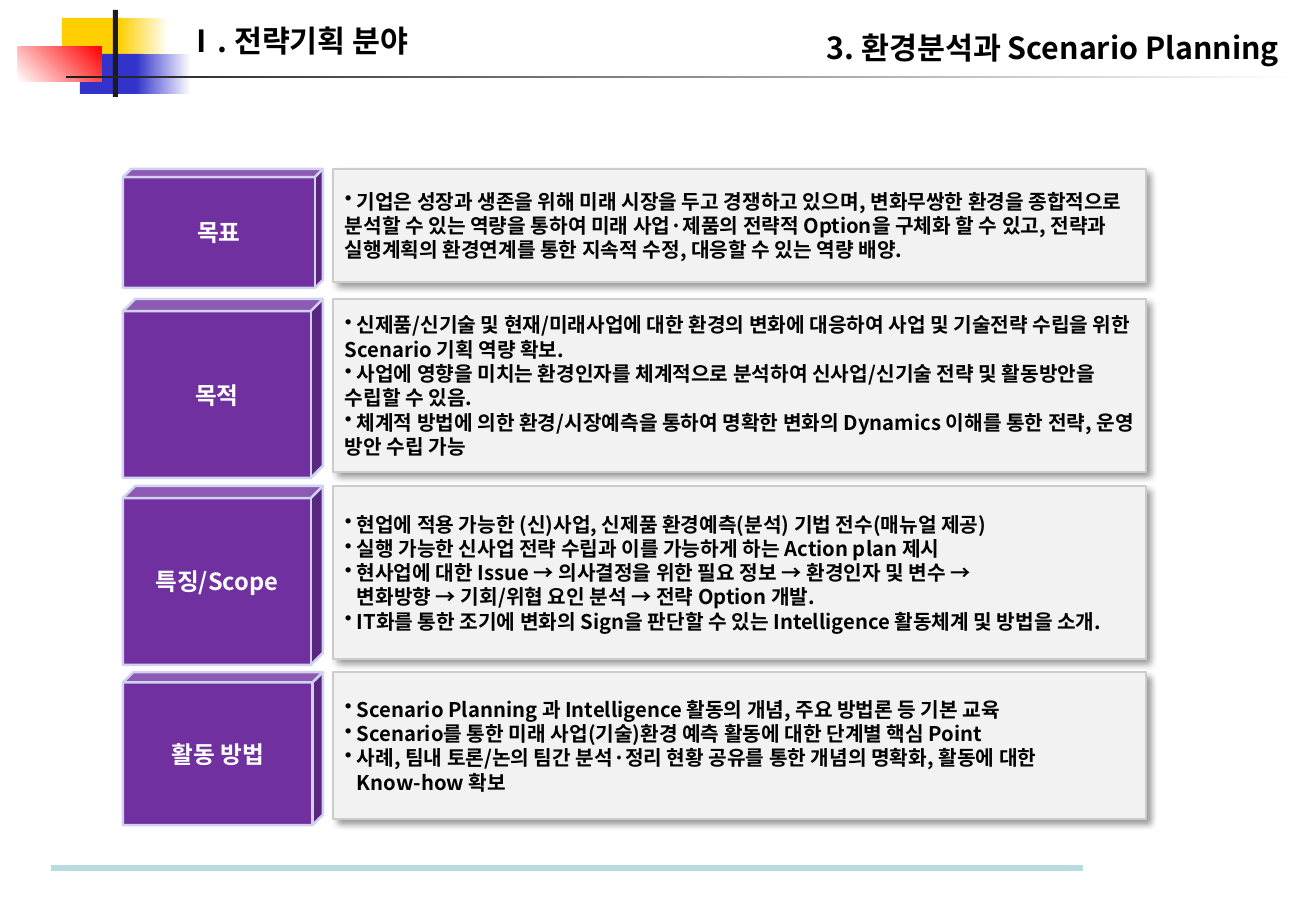
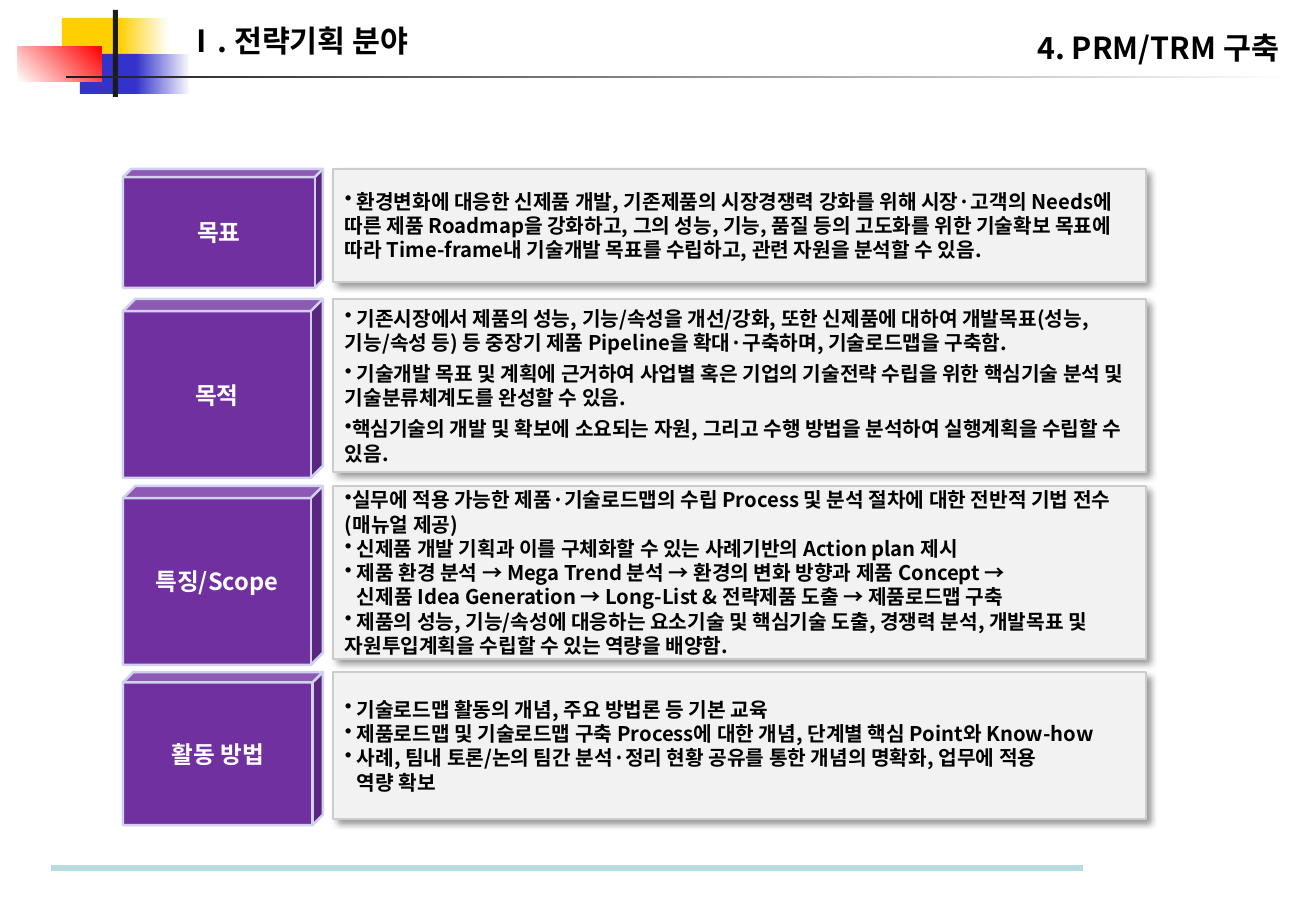
from lxml import etree
from pptx import Presentation
from pptx import util as u
from pptx.dml.color import RGBColor
from pptx.enum import shapes, text
from pptx.oxml import ns

PX = 7526  # EMU per px
FONT = "Noto Sans CJK KR"
INK, WHITE, DARK = "000000", "FFFFFF", "1C1C1C"
YELLOW, BLUE, RED, TEAL = "FFCF01", "3333CC", "FF0000", "B6DCDF"
PURPLE, LILAC, PANEL, EDGE = "7030A0", "D1D1F0", "F2F2F2", "CCCCCC"
LEFT, RIGHT, CENTER = text.PP_ALIGN.LEFT, text.PP_ALIGN.RIGHT, text.PP_ALIGN.CENTER

SECTION = "Ⅰ. 전략기획 분야"
# label, top, height
ROWS = [("목표", 169, 119), ("목적", 299, 179),
        ("특징/Scope", 486, 179), ("활동 방법", 672, 153)]
CUBE_LEFT, CUBE_W, PANEL_LEFT, PANEL_W = 123, 200, 333, 813
TITLE_RIGHT, CONTINUED = 1291, 12

# Each slide: title, title width, spacing before per row, paragraphs per row.
# A line break inside an item starts an indented line without a bullet.
SLIDES = [
    ("3. 환경분석과 Scenario Planning", 480, (0, 0, 0, 0), [
        [" 기업은 성장과 생존을 위해 미래 시장을 두고 경쟁하고 있으며, 변화무쌍한 환경을 종합적으로 "
         "분석할 수 있는 역량을 통하여 미래 사업·제품의 전략적 Option을 구체화 할 수 있고, 전략과 "
         "실행계획의 환경연계를 통한 지속적 수정, 대응할 수 있는 역량 배양."],
        [" 신제품/신기술 및 현재/미래사업에 대한 환경의 변화에 대응하여 사업 및 기술전략 수립을 위한 "
         "Scenario 기획 역량 확보.",
         " 사업에 영향을 미치는 환경인자를 체계적으로 분석하여 신사업/신기술 전략 및 활동방안을 "
         "수립할 수 있음.",
         " 체계적 방법에 의한 환경/시장예측을 통하여 명확한 변화의 Dynamics 이해를 통한 전략, "
         "운영 방안 수립 가능"],
        [" 현업에 적용 가능한 (신)사업, 신제품 환경예측(분석) 기법 전수(매뉴얼 제공)",
         " 실행 가능한 신사업 전략 수립과 이를 가능하게 하는 Action plan 제시",
         " 현사업에 대한 Issue → 의사결정을 위한 필요 정보 → 환경인자 및 변수 →\n"
         "변화방향 → 기회/위협 요인 분석 → 전략 Option 개발.",
         " IT화를 통한 조기에 변화의 Sign을 판단할 수 있는 Intelligence 활동체계 및 방법을 소개."],
        [" Scenario Planning 과 Intelligence 활동의 개념, 주요 방법론 등 기본 교육",
         " Scenario를 통한 미래 사업(기술)환경 예측 활동에 대한 단계별 핵심 Point",
         " 사례, 팀내 토론/논의 팀간 분석·정리 현황 공유를 통한 개념의 명확화, 활동에 대한\n"
         "Know-how 확보"],
    ]),
    ("4. PRM/TRM 구축", 283, (0, 4, 0, 0), [
        [" 환경변화에 대응한 신제품 개발, 기존제품의 시장경쟁력 강화를 위해 시장·고객의 Needs에 따른 "
         "제품 Roadmap을 강화하고, 그의 성능, 기능, 품질 등의 고도화를 위한 기술확보 목표에 따라 "
         "Time-frame내 기술개발 목표를 수립하고, 관련 자원을 분석할 수 있음."],
        [" 기존시장에서 제품의 성능, 기능/속성을 개선/강화, 또한 신제품에 대하여 개발목표(성능, "
         "기능/속성 등) 등 중장기 제품 Pipeline을 확대·구축하며, 기술로드맵을 구축함.",
         " 기술개발 목표 및 계획에 근거하여 사업별 혹은 기업의 기술전략 수립을 위한 핵심기술 분석 및 "
         "기술분류체계도를 완성할 수 있음.",
         "핵심기술의 개발 및 확보에 소요되는 자원, 그리고 수행 방법을 분석하여 실행계획을 수립할 수 있음."],
        ["실무에 적용 가능한 제품·기술로드맵의 수립 Process 및 분석 절차에 대한 전반적 기법 "
         "전수(매뉴얼 제공)",
         " 신제품 개발 기획과 이를 구체화할 수 있는 사례기반의 Action plan 제시",
         " 제품 환경 분석 → Mega Trend 분석 → 환경의 변화 방향과 제품 Concept →\n"
         "신제품 Idea Generation → Long-List & 전략제품 도출 → 제품로드맵 구축",
         " 제품의 성능, 기능/속성에 대응하는 요소기술 및 핵심기술 도출, 경쟁력 분석, 개발목표 및 "
         "자원투입계획을 수립할 수 있는 역량을 배양함."],
        [" 기술로드맵 활동의 개념, 주요 방법론 등 기본 교육",
         " 제품로드맵 및 기술로드맵 구축 Process에 대한 개념, 단계별 핵심 Point와 Know-how",
         " 사례, 팀내 토론/논의 팀간 분석·정리 현황 공유를 통한 개념의 명확화, 업무에 적용\n"
         "역량 확보"],
    ]),
]


def color(value):
    return RGBColor.from_string(value)


def px(*values):
    return [v * PX for v in values]


def sub(parent, tag, **attrs):
    return etree.SubElement(parent, ns.qn(tag), attrs)


class Deck:
    def __init__(self):
        self.prs = Presentation()
        self.prs.slide_width, self.prs.slide_height = px(1316, 911)
        self.layout = self.prs.slide_layouts[5]
        self.s = None

    def new_slide(self):
        self.s = self.prs.slides.add_slide(self.layout)

    # Text
    def add_text(self, p, words, size, ink=INK, align=LEFT):
        p.alignment = align
        p.line_spacing = u.Pt(size * 1.2)
        r = p.add_run()
        r.text = words
        r.font.size, r.font.bold = u.Pt(size), True
        r.font.color.rgb = color(ink)
        r.font.name = FONT
        sub(r._r.get_or_add_rPr(), "a:ea", typeface=FONT)

    def frame(self, sp, anchor, wrap=True):
        tf = sp.text_frame
        tf.auto_size = text.MSO_AUTO_SIZE.NONE
        tf.word_wrap = wrap
        tf.vertical_anchor = anchor
        tf.margin_left, tf.margin_right, tf.margin_top, tf.margin_bottom = px(12, 12, 6, 6)
        return tf

    def title(self, words, width):
        sp = self.s.shapes.title
        sp.left, sp.top, sp.width, sp.height = px(TITLE_RIGHT - width, 23, width, 49)
        tf = self.frame(sp, text.MSO_ANCHOR.TOP)
        self.add_text(tf.paragraphs[0], words, 18, align=RIGHT)

    def section(self, words):
        sp = self.s.shapes.add_textbox(*px(175, 16, 280, 49))
        tf = self.frame(sp, text.MSO_ANCHOR.TOP, wrap=False)
        self.add_text(tf.paragraphs[0], words, 18)

    # Shapes
    def shape(self, kind, box, fill, line=None, width=0.75):
        sp = self.s.shapes.add_shape(kind, *px(*box))
        sp.shadow.inherit = False
        if isinstance(fill, str):
            sp.fill.solid()
            sp.fill.fore_color.rgb = color(fill)
        else:
            start, end, angle = fill
            sp.fill.gradient()
            sp.fill.gradient_angle = angle
            for stop, value in zip(sp.fill.gradient_stops, (start, end)):
                stop.color.rgb = color(value)
        if line:
            sp.line.color.rgb = color(line)
            sp.line.width = u.Pt(width)
        else:
            sp.line.fill.background()
        return sp

    def rule(self, left, right, y, value, width):
        c = self.s.shapes.add_connector(shapes.MSO_CONNECTOR.STRAIGHT, *px(left, y, right, y))
        c.line.color.rgb = color(value)
        c.line.width = u.Pt(width)
        sub(c._element.spPr, "a:effectLst")

    def cube(self, label, top, height):
        sp = self.shape(shapes.MSO_SHAPE.CUBE, (CUBE_LEFT, top, CUBE_W, height),
                        PURPLE, LILAC, 1.5)
        sp.adjustments[0] = 0.068
        tf = self.frame(sp, text.MSO_ANCHOR.MIDDLE)
        self.add_text(tf.paragraphs[0], label, 14, WHITE, CENTER)

    def panel(self, items, top, height, before):
        sp = self.shape(shapes.MSO_SHAPE.RECTANGLE, (PANEL_LEFT, top, PANEL_W, height),
                        PANEL, EDGE)
        effects = sp._element.spPr.find(ns.qn("a:effectLst"))
        shadow = sub(effects, "a:outerShdw", blurRad="50800", dist="38100",
                     dir="2700000", algn="tl", rotWithShape="0")
        sub(sub(shadow, "a:srgbClr", val=INK), "a:alpha", val="40000")
        tf = self.frame(sp, text.MSO_ANCHOR.MIDDLE)
        lines = [(i, words) for item in items for i, words in enumerate(item.split("\n"))]
        for n, (continued, words) in enumerate(lines):
            p = tf.add_paragraph() if n else tf.paragraphs[0]
            self.add_text(p, words, 12)
            p.space_before = u.Pt(0 if continued else before)
            pPr = p._p.get_or_add_pPr()
            pPr.set("marL", str(CONTINUED * PX if continued else 0))
            pPr.set("indent", "0")
            if continued:
                sub(pPr, "a:buNone")
            else:
                sub(pPr, "a:buChar", char="•")

    # Shared decoration, drawn once and kept in the layout
    def decorate_layout(self):
        for box, fill in [
            ((62, 18, 66, 40), YELLOW),
            ((119, 18, 50, 40), (YELLOW, WHITE, 0)),
            ((80, 54, 63, 40), BLUE),
            ((136, 54, 55, 40), (BLUE, WHITE, 0)),
            ((18, 47, 84, 35), (WHITE, RED, 45)),
            ((113, 10, 5, 87), DARK),
            ((66, 76, 1232, 2), (DARK, WHITE, 0)),
        ]:
            self.shape(shapes.MSO_SHAPE.RECTANGLE, box, fill)
        self.rule(51, 1083, 868, TEAL, 3.5)
        tree = self.layout.shapes._spTree
        drawn = [sp for sp in self.s.shapes if not sp.is_placeholder]
        for i, sp in enumerate(drawn):
            sp._element.xpath(".//p:cNvPr")[0].set("id", str(100 + i))
            tree.insert(2 + i, sp._element)


def main():
    deck = Deck()
    for n, (title, width, spacing, contents) in enumerate(SLIDES):
        deck.new_slide()
        if n == 0:
            deck.decorate_layout()
        deck.title(title, width)
        for (label, top, height), before, items in zip(ROWS, spacing, contents):
            deck.cube(label, top, height)
            deck.panel(items, top, height - 6, before)
        deck.section(SECTION)
    deck.prs.save("out.pptx")


if __name__ == "__main__":
    main()
